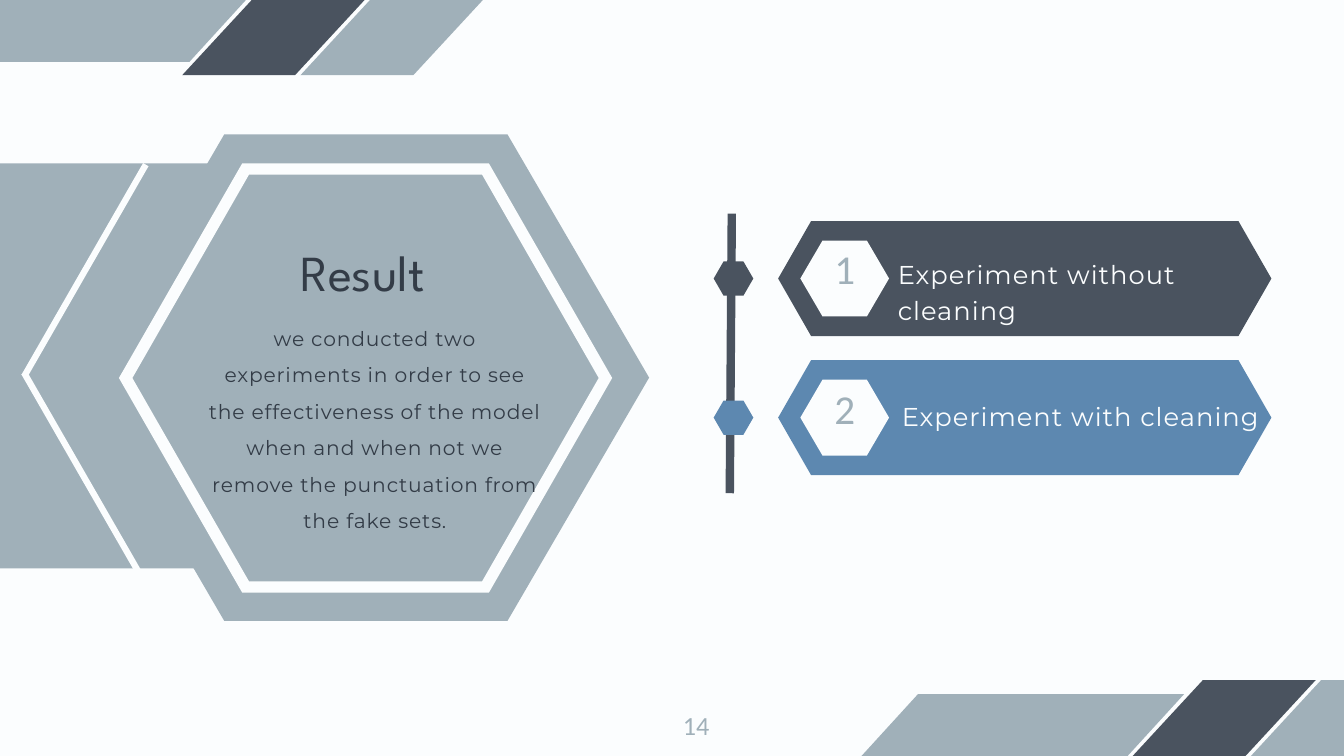
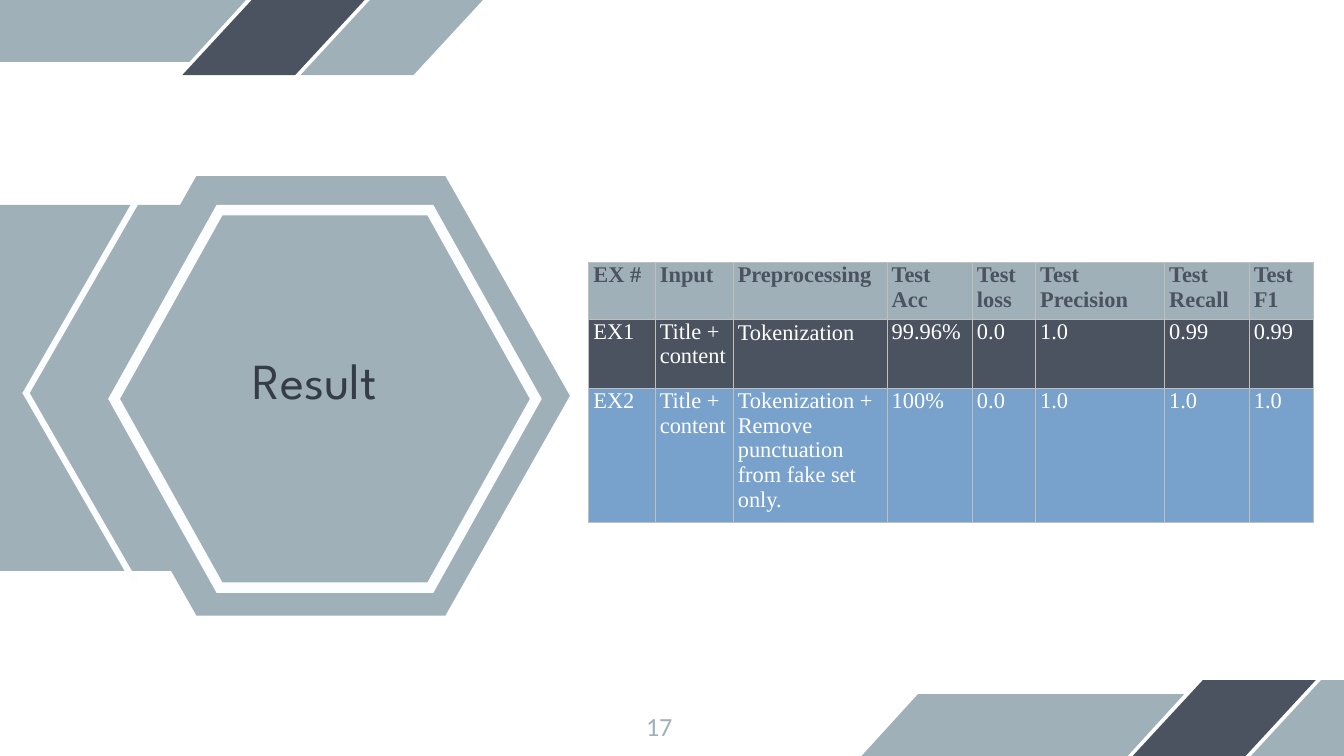
from dataclasses import dataclass
from lxml import etree
from pptx import Presentation
from pptx.dml.color import RGBColor as RGB
from pptx.enum.shapes import MSO_CONNECTOR as Conn
from pptx.enum.text import MSO_ANCHOR as Anchor, MSO_AUTO_SIZE as Auto, PP_ALIGN as Align
from pptx.oxml.ns import qn
from pptx.util import Inches, Pt


@dataclass(frozen=True)
class Theme:
    mist: str = "A0B0B9"
    slate: str = "4A535F"
    blue: str = "5D88B0"
    sky: str = "78A2CC"
    ink: str = "333C47"
    pale: str = "FBFDFE"
    white: str = "FFFFFF"
    grid: str = "BFBFBF"
    head: str = "League Spartan"
    body: str = "Montserrat"
    digit: str = "Calibri"
    data: str = "Times New Roman"
    title: float = 54
    badge: float = 44
    page: float = 28
    label: float = 27.6
    cell: float = 24
    text: float = 21.7


T = Theme()
COLS = (0.99, 1.16, 2.29, 1.27, 0.94, 1.92, 1.26, 0.95)
ROWS = (
    (0.84, T.mist, T.slate, ("EX #", "Input", "Preprocessing", "Test Acc", "Test loss",
                             "Test Precision", "Test Recall", "Test F1")),
    (1.03, T.slate, T.white, ("EX1", "Title + content", "Tokenization", "99.96%", "0.0",
                              "1.0", "0.99", "0.99")),
    (2, T.sky, T.white, ("EX2", "Title + content",
                         "Tokenization + Remove punctuation from fake set only.",
                         "100%", "0.0", "1.0", "1.0", "1.0")),
)


def write(frame, text, font, size, color, align=Align.LEFT, lead=None, track=0, bold=False):
    para = frame.paragraphs[0]
    run = para.add_run()
    run.text = text
    para.alignment = align
    if lead:
        para.line_spacing = lead
    para.font.name = font
    para.font.size = Pt(size)
    para.font.bold = bold
    para.font.color.rgb = RGB.from_string(color)
    if track:
        run._r.get_or_add_rPr().set("spc", str(round(track * 100)))
    return para


def label(slide, box, text, font, size, color, inset=None, **style):
    frame = slide.shapes.add_textbox(*map(Inches, box)).text_frame
    frame.word_wrap = True
    frame.auto_size = Auto.SHAPE_TO_FIT_TEXT
    if inset:
        (frame.margin_left, frame.margin_top,
         frame.margin_right, frame.margin_bottom) = map(Inches, inset)
    write(frame, text, font, size, color, **style)


def poly(slide, color, *loops):
    first, *rest = [[(Inches(x), Inches(y)) for x, y in loop] for loop in loops]
    pen = slide.shapes.build_freeform(*first[0])
    pen.add_line_segments(first[1:])
    for loop in rest:
        pen.move_to(*loop[0])
        pen.add_line_segments(loop[1:])
    shape = pen.convert_to_shape()
    shape.shadow.inherit = False
    shape.fill.solid()
    shape.fill.fore_color.rgb = RGB.from_string(color)
    shape.line.fill.background()
    return shape


def hexa(x, y, w, h, cut=None):
    cut = cut or w / 4
    mid = y + h / 2
    return [(x + w, mid), (x + w - cut, y + h), (x + cut, y + h), (x, mid),
            (x + cut, y), (x + w - cut, y), (x + w, mid)]


def slant(x, y, w, h, lean):
    return [(x + lean, y), (x + w, y), (x + w - lean, y + h), (x, y + h), (x + lean, y)]


def rule(slide, start, end, color, width):
    line = slide.shapes.add_connector(Conn.STRAIGHT, *map(Inches, (*start, *end)))
    line.line.color.rgb = RGB.from_string(color)
    line.line.width = Pt(width)
    etree.SubElement(line._element.spPr, qn("a:effectLst"))


def stripes(slide, x, y):
    poly(slide, T.mist, slant(x - 1.14, y, 4.8, 0.92, 0.84))
    for left, color in ((2.71, T.slate), (4.47, T.mist)):
        poly(slide, color, slant(x + left, y - 0.21, 2.91, 1.33, 1.23))


def panel(slide, x, y, w, h):
    wide, tall = w / 8.43, h / 7.24
    poly(slide, T.mist, hexa(x, y, w, h))
    left, top, right, base = x - 1.79, y + 0.43, x - 1.79 + 7.15 * wide, y + 0.43 + 6.03 * tall
    poly(slide, T.mist, [(left, top), (right, top), (right, base), (left, base), (left, top)])
    ring = (x + 0.54, top, 7.34 * wide, 6.39 * tall)
    dx, dy = 0.2 * wide, 0.17 * tall
    hole = (ring[0] + dx, top + dy, ring[2] - 2 * dx, ring[3] - 2 * dy)
    poly(slide, T.pale, hexa(*ring), hexa(*hole))
    edge = x + 0.94
    tip = edge - 1.81 * tall
    for end, mid in ((6.7, 3.55), (0.45, 3.6)):
        rule(slide, (edge, y + end * tall), (tip, y + mid * tall), T.pale, 6.75)


def title(slide, x, y):
    label(slide, (x, y, 6.36, 1.16), "Result", T.head, T.title, T.ink,
          inset=(0, 0, 0.25, 0), align=Align.CENTER, lead=Pt(73.5))


def base(deck, back, page, x, y):
    slide = deck.slides.add_slide(deck.slide_layouts[6])
    slide.background.fill.solid()
    slide.background.fill.fore_color.rgb = RGB.from_string(back)
    stripes(slide, 0, 0)
    stripes(slide, 13.96, 10.33)
    label(slide, (x, y, 0.68, 0.57), page, T.digit, T.page, T.mist, align=Align.CENTER)
    return slide


def step(slide, x, y, num, text, color, dx, dy):
    poly(slide, color, hexa(x - 0.96, y + 0.6, 0.59, 0.51))
    poly(slide, color, hexa(x, y, 7.34, 1.71, 0.49))
    badge = poly(slide, T.pale, hexa(x + 0.33, y + 0.29, 1.32, 1.13)).text_frame
    badge.vertical_anchor = Anchor.TOP
    write(badge, num, T.digit, T.badge, T.mist, Align.CENTER)
    label(slide, (x + dx, y + dy, 5.95, 0.51), text, T.body, T.label, T.pale,
          inset=(0, 0, 0, 0), lead=Pt(38.7), track=1.1)


def border(cell):
    props = cell._tc.get_or_add_tcPr()
    for side in "LRTB":
        line = etree.SubElement(props, qn("a:ln" + side), w=str(Pt(1)))
        fill = etree.SubElement(line, qn("a:solidFill"))
        etree.SubElement(fill, qn("a:srgbClr"), val=T.grid)


def scores(slide, x, y):
    high = sum(row[0] for row in ROWS)
    grid = slide.shapes.add_table(len(ROWS), len(COLS),
                                  *map(Inches, (x, y, sum(COLS), high))).table
    grid.first_row = grid.horz_banding = False
    for col, width in zip(grid.columns, COLS):
        col.width = Inches(width)
    for row, (height, back, color, texts) in zip(grid.rows, ROWS):
        row.height = Inches(height)
        for cell, text in zip(row.cells, texts):
            border(cell)
            cell.fill.solid()
            cell.fill.fore_color.rgb = RGB.from_string(back)
            cell.margin_left = cell.margin_right = Inches(0.07)
            cell.margin_top = cell.margin_bottom = 0
            para = write(cell.text_frame, text, T.data, T.cell, color, bold=back == T.mist)
            if text == "Tokenization":
                para.line_spacing = 1.07
                para.space_after = Pt(8)


def plan(deck):
    slide = base(deck, T.pale, "14", 10.02, 10.5)
    rule(slide, (10.89, 3.18), (10.86, 7.34), T.slate, 9)
    panel(slide, 1.23, 2, 8.43, 7.24)
    title(slide, 2.34, 3.47)
    label(slide, (3.08, 4.67, 5, 2.67),
          "we conducted two experiments in order to see the effectiveness of the model "
          "when and when not we remove the punctuation from the fake sets.",
          T.body, T.text, T.ink, inset=(0, 0, 0, 0), align=Align.CENTER,
          lead=Pt(39.1), track=0.9)
    step(slide, 11.58, 3.29, "1", "Experiment without cleaning", T.slate, 1.78, 0.48)
    step(slide, 11.58, 5.36, "2", "Experiment with cleaning", T.blue, 1.84, 0.53)


def result(deck):
    slide = base(deck, T.white, "17", 9.47, 10.52)
    panel(slide, 1.07, 2.62, 7.41, 6.54)
    scores(slide, 8.76, 3.91)
    title(slide, 1.63, 5.07)


def main():
    deck = Presentation()
    deck.slide_width, deck.slide_height = Inches(20), Inches(11.25)
    plan(deck)
    result(deck)
    deck.save("out.pptx")


if __name__ == "__main__":
    main()
